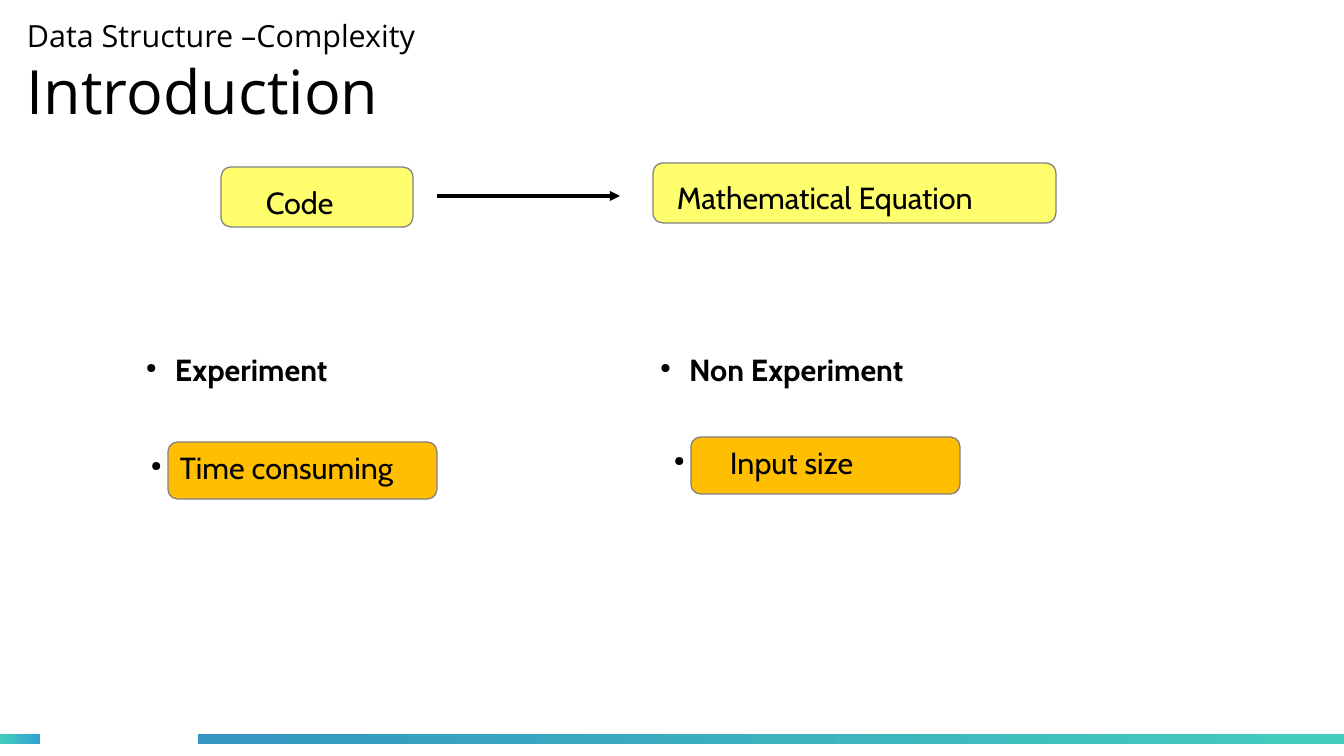
from lxml.etree import SubElement
from pptx import Presentation
from pptx.dml.color import RGBColor
from pptx.enum.shapes import MSO_CONNECTOR, MSO_SHAPE
from pptx.enum.text import MSO_ANCHOR, PP_ALIGN
from pptx.oxml.ns import qn
from pptx.util import Pt

PX = 7495  # EMU per px, 122 px to the inch
COLORS = {
    "ink": "000000", "outline": "808080", "yellow": "FFFF6D", "orange": "FFBF00",
    "teal": "43CCBD", "sky": "30A2D2", "blue": "3497C1",
}
BULLET_INDENT = 29


def px(*lengths):
    return [length * PX for length in lengths]


def color(name):
    return RGBColor.from_string(COLORS[name])


def add_span(para, text, size=18, font="Cabin", bold=False):
    span = para.add_run()
    span.text = text
    span.font.size = Pt(size)
    span.font.name = font
    span.font.bold = bold
    span.font.color.rgb = color("ink")


def set_margins(frame, left, top, right, bottom):
    frame.margin_left, frame.margin_top, frame.margin_right, frame.margin_bottom = px(
        left, top, right, bottom)


def add_bar(page, left, width, start, end):
    bar = page.shapes.add_shape(MSO_SHAPE.RECTANGLE, *px(left, 734, width, 10))
    bar.shadow.inherit = False
    bar.line.fill.background()
    bar.fill.gradient()
    bar.fill.gradient_angle = 0
    for stop, name in zip(bar.fill.gradient_stops, (start, end)):
        stop.color.rgb = color(name)


def add_title(page, topic, heading):
    box = page.shapes.add_textbox(*px(27, 10, 937, 124))
    frame = box.text_frame
    frame.word_wrap = True
    frame.vertical_anchor = MSO_ANCHOR.MIDDLE
    set_margins(frame, 0, 0, 0, 0)
    para = frame.paragraphs[0]
    add_span(para, topic, font="Open Sans")
    para.add_line_break()
    add_span(para, heading, size=36, font="Open Sans")


def add_card(page, left, top, width, height, fill):
    card = page.shapes.add_shape(MSO_SHAPE.ROUNDED_RECTANGLE, *px(left, top, width, height))
    card.shadow.inherit = False
    card.fill.solid()
    card.fill.fore_color.rgb = color(fill)
    card.line.color.rgb = color("outline")
    card.line.width = 0
    return card


def add_labelled_card(page, text, left, top, width, text_left, text_top):
    card = add_card(page, left, top, width, 60, "yellow")
    frame = card.text_frame
    frame.vertical_anchor = MSO_ANCHOR.TOP
    set_margins(frame, text_left, text_top, 0, 0)
    para = frame.paragraphs[0]
    para.alignment = PP_ALIGN.LEFT
    add_span(para, text)


def add_bullet(page, text, left, top, width, indent=BULLET_INDENT, bold=False):
    box = page.shapes.add_textbox(*px(left, top, width, 54))
    frame = box.text_frame
    frame.word_wrap = True
    set_margins(frame, 12, 6, 12, 6)
    para = frame.paragraphs[0]
    props = para._p.get_or_add_pPr()
    props.set("marL", str(indent * PX))
    props.set("indent", str(-indent * PX))
    bullet_color = SubElement(props, qn("a:buClr"))
    SubElement(bullet_color, qn("a:srgbClr")).set("val", COLORS["ink"])
    SubElement(props, qn("a:buSzPct")).set("val", "45000")
    SubElement(props, qn("a:buChar")).set("char", "●")
    add_span(para, text, bold=bold)


def add_arrow(page, left, right, y):
    arrow = page.shapes.add_connector(MSO_CONNECTOR.STRAIGHT, *px(left, y, right, y))
    arrow.line.color.rgb = color("ink")
    arrow.line.width = 0
    SubElement(arrow.line._get_or_add_ln(), qn("a:tailEnd")).set("type", "triangle")
    SubElement(arrow._element.spPr, qn("a:effectLst"))


def main():
    deck = Presentation()
    deck.slide_width, deck.slide_height = px(1344, 756)
    page = deck.slides.add_slide(deck.slide_layouts[6])

    # Footer bars
    add_bar(page, 0, 40, "teal", "sky")
    add_bar(page, 198, 1146, "blue", "teal")

    # Title
    add_title(page, "Data Structure –Complexity", "Introduction")

    # From code to equation
    add_labelled_card(page, "Code", 221, 167, 192, 42, 14)
    add_arrow(page, 437, 620, 196)
    add_labelled_card(page, "Mathematical Equation", 653, 163, 403, 21, 13)

    # Two ways to measure
    add_bullet(page, "Experiment", 134, 345, 278, bold=True)
    add_bullet(page, "Non Experiment", 648, 345, 355, bold=True)

    # Their basis, with the bullet left of each card
    for text, left, top, indent in (
        ("Time consuming", 168, 442, BULLET_INDENT),
        ("Input size", 691, 437, 56),
    ):
        add_card(page, left, top, 269, 57, "orange")
        add_bullet(page, text, left - 29, top + 1, 327, indent)

    deck.save("out.pptx")


if __name__ == "__main__":
    main()
